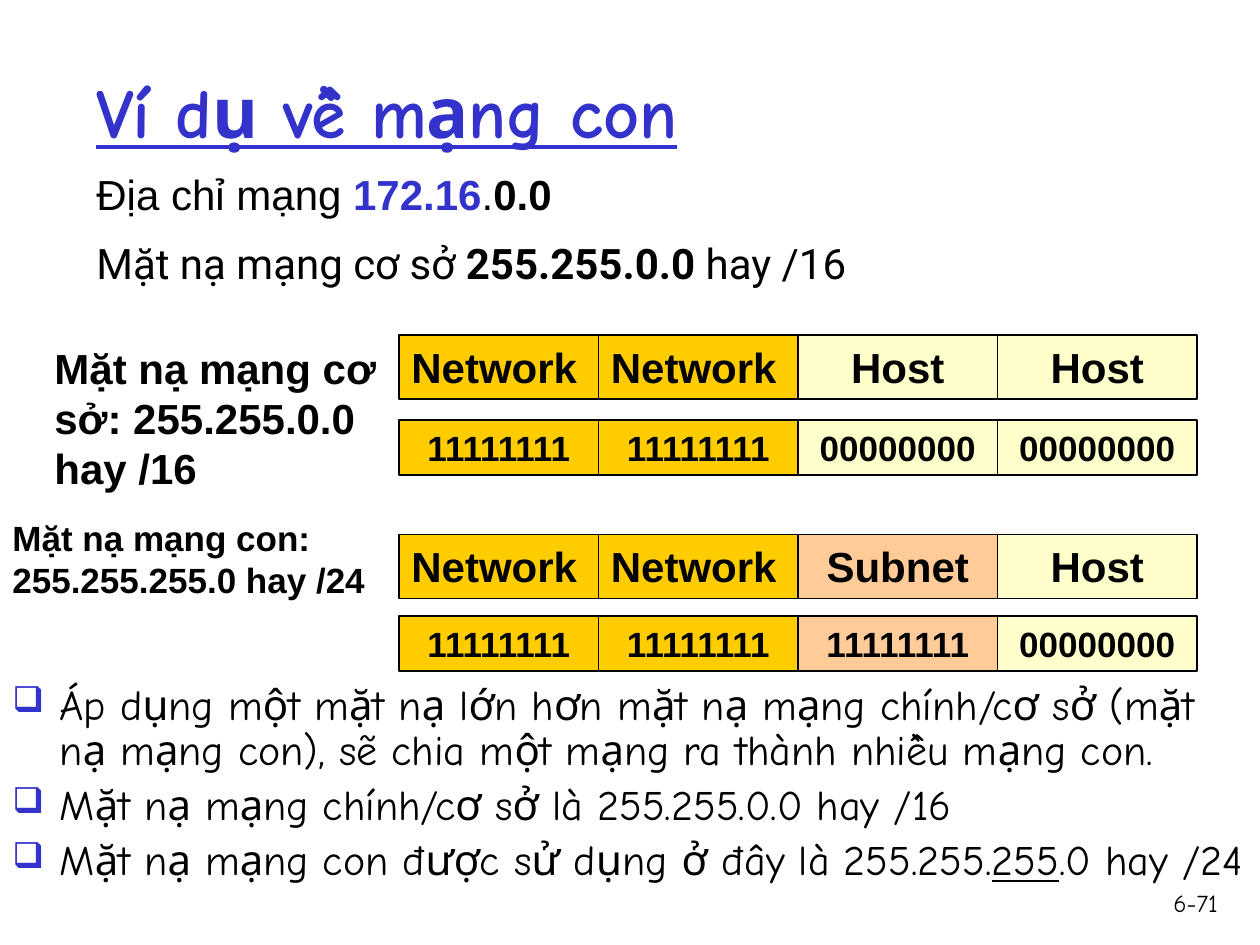
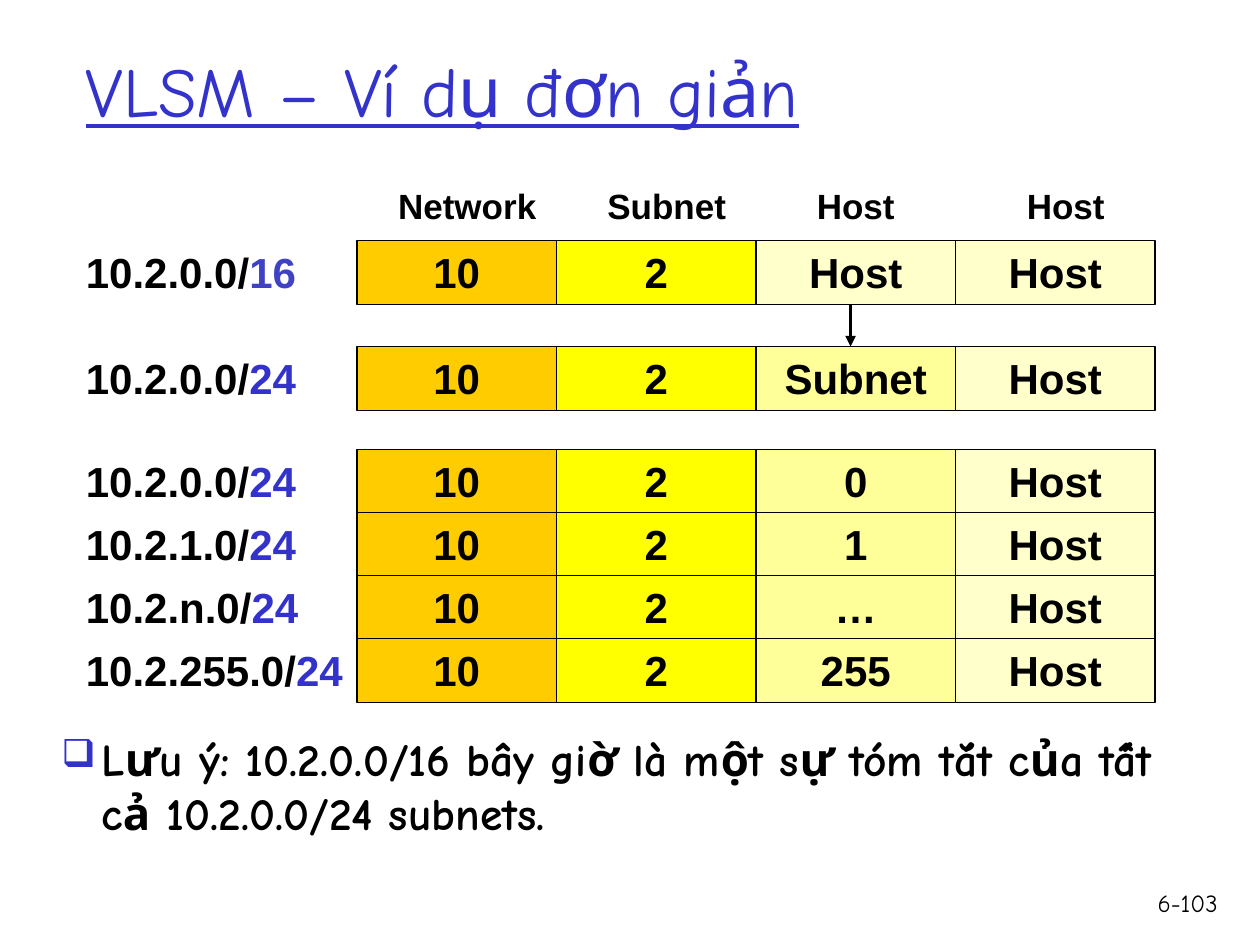
from typing import NamedTuple

from lxml import etree
from pptx import Presentation
from pptx.dml.color import RGBColor
from pptx.enum.shapes import MSO_CONNECTOR, MSO_SHAPE
from pptx.enum.text import MSO_ANCHOR, PP_ALIGN
from pptx.oxml.ns import qn
from pptx.util import Pt

BLACK = RGBColor(0x00, 0x00, 0x00)
WHITE = RGBColor(0xFF, 0xFF, 0xFF)
BLUE = RGBColor(0x33, 0x33, 0xCC)
SOFT_BLUE = RGBColor(0x3F, 0x42, 0xC3)
AMBER = RGBColor(0xFF, 0xCC, 0x00)
PEACH = RGBColor(0xFF, 0xCC, 0x99)
CREAM = RGBColor(0xFF, 0xFF, 0xCC)
YELLOW = RGBColor(0xFF, 0xFF, 0x00)
PALE_YELLOW = RGBColor(0xFF, 0xFF, 0x99)

SANS = "Arial"
HAND = "Comic Neue"
ROBOTO = "Roboto"

OCTET_WIDTH = 114
NAME_HEIGHT = 36.5
BITS_HEIGHT = 31.5


class Box(NamedTuple):
    left: float
    top: float
    width: float
    height: float

    def lengths(self) -> list:
        return [Pt(value) for value in self]


class Span(NamedTuple):
    """A piece of text that differs from the format of its box."""
    text: str
    bold: bool | None = None
    color: RGBColor | None = None
    underline: bool | None = None


class Octet(NamedTuple):
    text: str
    fill: RGBColor
    align: PP_ALIGN = PP_ALIGN.CENTER


class AddressRow(NamedTuple):
    top: float
    network: str
    prefix: str
    third: Octet
    prefix_color: RGBColor = BLUE
    label_width: float = 150


NETWORK = Octet("Network", AMBER, PP_ALIGN.LEFT)
HOST = Octet("Host", CREAM)
SUBNET = Octet("Subnet", PEACH)
ONES = Octet("11111111", AMBER)
SUBNET_ONES = Octet("11111111", PEACH)
ZEROS = Octet("00000000", CREAM)


def add_bullet(paragraph, indent: float) -> None:
    properties = paragraph._p.get_or_add_pPr()
    properties.set("marL", str(Pt(indent)))
    properties.set("indent", str(-Pt(indent)))
    color = etree.SubElement(properties, qn("a:buClr"))
    etree.SubElement(color, qn("a:srgbClr"), val=str(BLUE))
    etree.SubElement(properties, qn("a:buSzPct"), val="85000")
    etree.SubElement(properties, qn("a:buChar"), char="❑")


def write(frame, *paragraphs, size: float = 24, font: str = SANS,
          color: RGBColor = BLACK, bold: bool = False, underline: bool = False,
          align: PP_ALIGN = PP_ALIGN.LEFT, anchor: MSO_ANCHOR = MSO_ANCHOR.TOP,
          line_spacing: float = 1.0, space_before: float = 0,
          bullet_indent: float = 0) -> None:
    """Fill a frame; each paragraph is a string or a list of strings and Spans."""
    frame.word_wrap = True
    frame.vertical_anchor = anchor
    for index, content in enumerate(paragraphs):
        paragraph = frame.add_paragraph() if index else frame.paragraphs[0]
        if bullet_indent:
            add_bullet(paragraph, bullet_indent)
        paragraph.alignment = align
        paragraph.line_spacing = line_spacing
        if index:
            paragraph.space_before = Pt(space_before)
        for piece in [content] if isinstance(content, str) else content:
            span = Span(piece) if isinstance(piece, str) else piece
            run = paragraph.add_run()
            run.text = span.text
            run.font.name = font
            run.font.size = Pt(size)
            run.font.bold = bold if span.bold is None else span.bold
            run.font.underline = underline if span.underline is None else span.underline
            run.font.color.rgb = span.color or color


def add_text(slide, box: Box, *paragraphs, **text_format) -> None:
    write(slide.shapes.add_textbox(*box.lengths()).text_frame, *paragraphs, **text_format)


def add_octets(slide, left: float, top: float, height: float,
               octets: list[Octet], size: float = 24) -> None:
    for column, octet in enumerate(octets):
        box = Box(left + column * OCTET_WIDTH, top, OCTET_WIDTH, height)
        cell = slide.shapes.add_shape(MSO_SHAPE.RECTANGLE, *box.lengths())
        cell.shadow.inherit = False
        cell.fill.solid()
        cell.fill.fore_color.rgb = octet.fill
        cell.line.color.rgb = BLACK
        cell.line.width = Pt(0.75)
        write(cell.text_frame, octet.text, size=size, bold=True, align=octet.align)


def add_down_arrow(slide, x: float, top: float, bottom: float) -> None:
    arrow = slide.shapes.add_connector(
        MSO_CONNECTOR.STRAIGHT, Pt(x), Pt(top), Pt(x), Pt(bottom))
    arrow.line.color.rgb = BLACK
    arrow.line.width = Pt(2)
    etree.SubElement(arrow.line._get_or_add_ln(), qn("a:tailEnd"), type="triangle")
    etree.SubElement(arrow._element.spPr, qn("a:effectLst"))


def add_base_slide(deck, title: str, title_box: Box, number: str, bold_title: bool = False):
    slide = deck.slides.add_slide(deck.slide_layouts[6])
    slide.background.fill.solid()
    slide.background.fill.fore_color.rgb = WHITE
    add_text(slide, Box(654, 504, 49, 36), number, size=14, font=HAND, align=PP_ALIGN.RIGHT)
    add_text(slide, title_box, title, size=40, font=HAND, color=BLUE, bold=bold_title,
             underline=True, anchor=MSO_ANCHOR.MIDDLE)
    return slide


def build_subnet_example(deck) -> None:
    slide = add_base_slide(deck, "Ví dụ về mạng con", Box(48, 28, 508, 70), "6-71",
                           bold_title=True)
    add_text(slide, Box(48, 96, 336, 42),
             ["Địa chỉ mạng ", Span("172.16", True, BLUE), ".", Span("0.0", True)],
             line_spacing=0.9)
    add_text(slide, Box(48, 132, 618, 36),
             ["Mặt nạ mạng cơ sở ", Span("255.255.0.0", True), " hay /16"], font=ROBOTO)
    add_text(slide, Box(0, 387.5, 720, 152.5),
             "Áp dụng một mặt nạ lớn hơn mặt nạ mạng chính/cơ sở (mặt nạ mạng con), "
             "sẽ chia một mạng ra thành nhiều mạng con.",
             "Mặt nạ mạng chính/cơ sở là 255.255.0.0 hay /16",
             ["Mặt nạ mạng con được sử dụng ở đây là 255.255.",
              Span("255", underline=True), ".0 hay /24"],
             font=HAND, line_spacing=0.9, space_before=5.5, bullet_indent=27)
    add_text(slide, Box(24, 192, 204, 50), "Mặt nạ mạng cơ sở: 255.255.0.0 hay /16", bold=True)
    add_text(slide, Box(0, 291.5, 216, 55.5), "Mặt nạ mạng con: 255.255.255.0 hay /24",
             size=20, bold=True)

    left = 228
    add_octets(slide, left, 191.5, NAME_HEIGHT, [NETWORK, NETWORK, HOST, HOST])
    add_octets(slide, left, 240, BITS_HEIGHT, [ONES, ONES, ZEROS, ZEROS], size=20)
    add_octets(slide, left, 305.5, NAME_HEIGHT, [NETWORK, NETWORK, SUBNET, HOST])
    add_octets(slide, left, 352, BITS_HEIGHT, [ONES, ONES, SUBNET_ONES, ZEROS], size=20)


def build_vlsm_example(deck) -> None:
    slide = add_base_slide(deck, "VLSM – Ví dụ đơn giản", Box(42, 6, 612, 90), "6-103")
    add_text(slide, Box(28, 414, 662.5, 107),
             "Lưu ý: 10.2.0.0/16 bây giờ là một sự tóm tắt của tất cả 10.2.0.0/24 subnets.",
             size=26, font=HAND, bold=True, bullet_indent=23)

    headings = {210: "Network", 324: "Subnet", 432: "Host", 552: "Host"}
    for left, heading in headings.items():
        add_text(slide, Box(left, 102, OCTET_WIDTH, 31), heading,
                 size=20, bold=True, align=PP_ALIGN.CENTER)

    list_top, list_step = 257, 36
    rows = [
        AddressRow(137.5, "10.2.0.0/", "16", HOST, prefix_color=SOFT_BLUE),
        AddressRow(198, "10.2.0.0/", "24", Octet("Subnet", PALE_YELLOW)),
    ]
    for index, (third, shown) in enumerate(
            [("0", "0"), ("1", "1"), ("n", "…"), ("255", "255")]):
        rows.append(AddressRow(list_top + index * list_step, f"10.2.{third}.0/", "24",
                               Octet(shown, PALE_YELLOW),
                               label_width=162 if third == "255" else 150))
    for row in rows:
        add_text(slide, Box(42, row.top, row.label_width, 36),
                 [row.network, Span(row.prefix, color=row.prefix_color)], bold=True)
        add_octets(slide, 204, row.top, NAME_HEIGHT,
                   [Octet("10", AMBER), Octet("2", YELLOW), row.third, HOST])
    add_down_arrow(slide, 486, rows[0].top + NAME_HEIGHT, rows[1].top)


def main() -> None:
    deck = Presentation()
    deck.slide_width, deck.slide_height = Pt(720), Pt(540)
    build_subnet_example(deck)
    build_vlsm_example(deck)
    deck.save("out.pptx")


if __name__ == "__main__":
    main()
